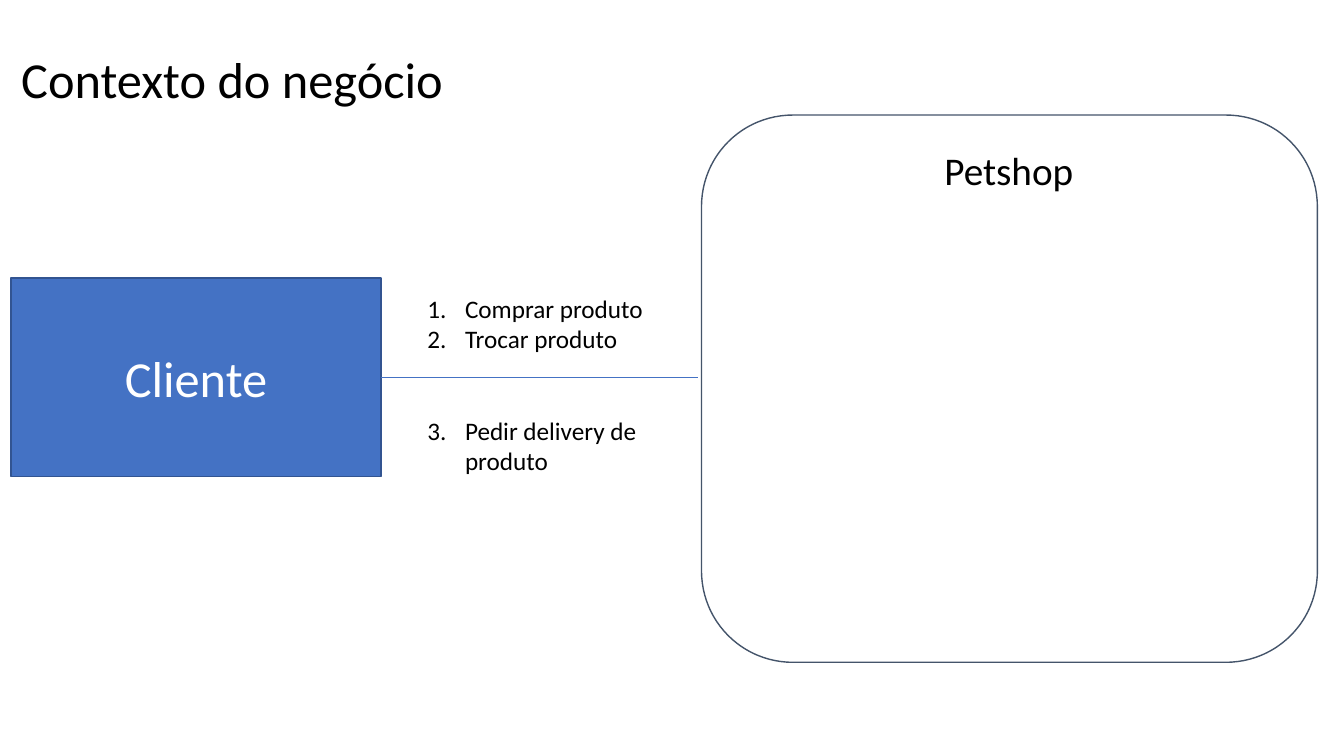
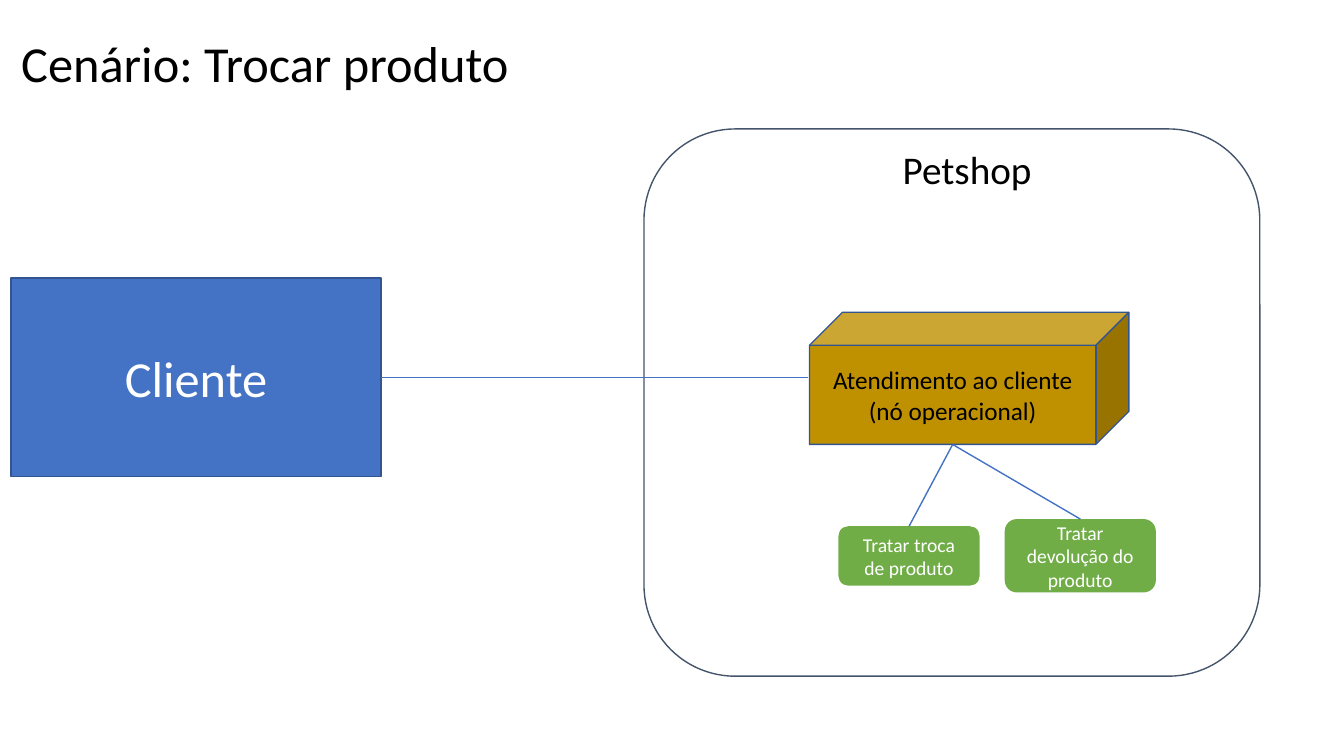
from lxml import etree
from pptx import Presentation
from pptx.dml.color import RGBColor
from pptx.enum.shapes import MSO_CONNECTOR, MSO_SHAPE
from pptx.enum.text import MSO_ANCHOR, MSO_AUTO_SIZE, PP_ALIGN
from pptx.oxml.ns import qn
from pptx.util import Cm, Pt

RECTANGLE = MSO_SHAPE.RECTANGLE
ROUNDED = MSO_SHAPE.ROUNDED_RECTANGLE
CUBE = MSO_SHAPE.CUBE
STRAIGHT = MSO_CONNECTOR.STRAIGHT
LEFT, CENTER = PP_ALIGN.LEFT, PP_ALIGN.CENTER
TOP, MIDDLE = MSO_ANCHOR.TOP, MSO_ANCHOR.MIDDLE
NO_FIT = MSO_AUTO_SIZE.NONE
TITLE_ONLY = 5

COLORS = {
    "text": "000000",
    "panel": "FFFFFF",
    "panel_line": "44546A",
    "client": "4472C4",
    "box_line": "325491",
    "node": "BF9000",
    "task": "70AD47",
    "light": "FFFFFF",
}
FONT = "Calibri"
CUBE_DEPTH = 0.25


def rgb(name):
    return RGBColor.from_string(COLORS[name])


class Deck:
    def __init__(self):
        self.prs = Presentation()
        self.prs.slide_width, self.prs.slide_height = Cm(33.87), Cm(19.05)
        self.slide = None

    def set_text(self, frame, text, size, color="text", align=LEFT, anchor=TOP):
        frame.text = text
        frame.word_wrap = True
        frame.auto_size = NO_FIT
        frame.vertical_anchor = anchor
        for paragraph in frame.paragraphs:
            paragraph.alignment = align
            paragraph.font.name = FONT
            paragraph.font.size = Pt(size)
            paragraph.font.color.rgb = rgb(color)

    def new_slide(self, heading, top):
        self.slide = self.prs.slides.add_slide(self.prs.slide_layouts[TITLE_ONLY])
        title = self.slide.shapes.title
        title.left, title.top = Cm(0.28), Cm(top)
        title.width, title.height = Cm(20), Cm(1.8)
        self.set_text(title.text_frame, heading, 36)

    def label(self, text, left, top, width, height, size):
        box = self.slide.shapes.add_textbox(Cm(left), Cm(top), Cm(width), Cm(height))
        self.set_text(box.text_frame, text, size)
        return box

    def box(self, kind, left, top, width, height, fill, line=None,
            text="", size=18, color="light"):
        shape = self.slide.shapes.add_shape(
            kind, Cm(left), Cm(top), Cm(width), Cm(height))
        shape.shadow.inherit = False
        shape.fill.solid()
        shape.fill.fore_color.rgb = rgb(fill)
        if line:
            shape.line.color.rgb = rgb(line)
            shape.line.width = Pt(1)
        else:
            shape.line.fill.background()
        if text:
            self.set_text(shape.text_frame, text, size, color, CENTER, MIDDLE)
        return shape

    def link(self, x1, y1, x2, y2):
        line = self.slide.shapes.add_connector(STRAIGHT, x1, y1, x2, y2)
        line.line.color.rgb = rgb("client")
        line.line.width = Pt(1)
        etree.SubElement(line._element.spPr, qn("a:effectLst"))

    def panel(self, left, top, name_left, name_top):
        self.box(ROUNDED, left, top, 15.52, 13.79, "panel", "panel_line")
        self.label("Petshop", name_left, name_top, 3.81, 1.45, 28)

    def client(self, link_end):
        client = self.box(RECTANGLE, 0.28, 7.01, 9.32, 5, "client", "box_line",
                          "Cliente", 36)
        middle = client.top + client.height // 2
        self.link(client.left + client.width, middle, Cm(link_end), middle)

    def numbered(self, items, left, top, width, height):
        box = self.label("\n".join(items), left, top, width, height, 18)
        for number, paragraph in enumerate(box.text_frame.paragraphs, 1):
            props = paragraph._p.get_or_add_pPr()
            props.set("marL", str(Cm(0.95)))
            props.set("indent", str(-Cm(0.95)))
            etree.SubElement(props, qn("a:buFont"), typeface="+mj-lt")
            bullet = etree.SubElement(props, qn("a:buAutoNum"), type="arabicPeriod")
            bullet.set("startAt", str(number))
            props.append(props.find(qn("a:defRPr")))
        return box


def business_context(deck):
    deck.new_slide("Contexto do negócio", 1.09)
    deck.panel(17.68, 2.9, 23.55, 3.56)
    deck.client(17.6)
    requests = deck.numbered(
        ["Comprar produto", "Trocar produto", "Pedir delivery de produto"],
        10.52, 7.26, 6.68, 4.88)
    requests.text_frame.paragraphs[-1].space_before = Pt(44)


def exchange_scenario(deck):
    deck.new_slide("Cenário: Trocar produto", 0.69)
    deck.panel(16.23, 3.25, 22.5, 3.53)
    deck.client(20.35)
    service = deck.box(CUBE, 20.4, 7.87, 8.05, 3.33, "node", "box_line",
                       "Atendimento ao cliente\n(nó operacional)", 18, "text")
    service.adjustments[0] = CUBE_DEPTH
    front_width = service.width - int(service.height * CUBE_DEPTH)
    base_x = service.left + front_width // 2
    base_y = service.top + service.height
    tasks = [
        ("Tratar troca de produto", 21.13, 13.26, 3.56, 1.5),
        ("Tratar devolução do produto", 25.32, 13.08, 3.81, 1.85),
    ]
    for text, *place in tasks:
        task = deck.box(ROUNDED, *place, "task", text=text, size=14)
        deck.link(base_x, base_y, task.left + task.width // 2, task.top)


def main():
    deck = Deck()
    business_context(deck)
    exchange_scenario(deck)
    deck.prs.save("out.pptx")


if __name__ == "__main__":
    main()
